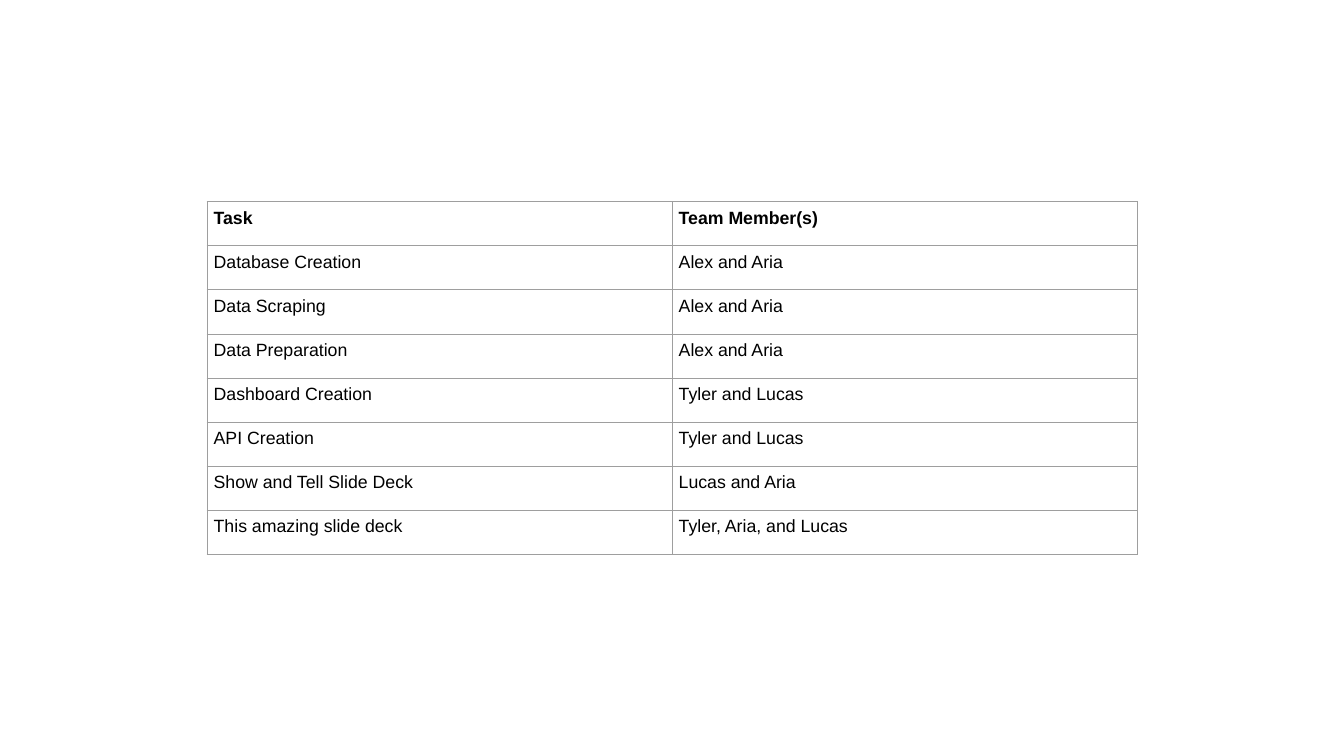
from lxml import etree
from pptx import Presentation
from pptx.dml.color import RGBColor
from pptx.oxml.ns import qn
from pptx.util import Pt

HEADINGS = ("Task", "Team Member(s)")
ASSIGNMENTS = [
    ("Database Creation", "Alex and Aria"),
    ("Data Scraping", "Alex and Aria"),
    ("Data Preparation", "Alex and Aria"),
    ("Dashboard Creation", "Tyler and Lucas"),
    ("API Creation", "Tyler and Lucas"),
    ("Show and Tell Slide Deck", "Lucas and Aria"),
    ("This amazing slide deck", "Tyler, Aria, and Lucas"),
]

SLIDE_WIDTH, SLIDE_HEIGHT = 1440, 810
TABLE_TOP = 216
COLUMN_WIDTH, ROW_HEIGHT = 498.25, 47.25
TEXT_FORMAT = {"name": "Arial", "size": Pt(19)}
MARGINS = dict.fromkeys(
    ("margin_left", "margin_right", "margin_top", "margin_bottom"), Pt(7.2))
TEXT_COLOR, BORDER_COLOR = "000000", "9E9E9E"
BORDER_WIDTH = 0.75


def rgb(hex_color):
    return RGBColor.from_string(hex_color)


def set_attributes(target, values):
    for name, value in values.items():
        setattr(target, name, value)


def add_borders(cell):
    properties = cell._tc.get_or_add_tcPr()
    # Border elements must come before the cell fill.
    for position, side in enumerate(("lnL", "lnR", "lnT", "lnB")):
        border = etree.Element(qn(f"a:{side}"), w=str(Pt(BORDER_WIDTH)))
        fill = etree.SubElement(border, qn("a:solidFill"))
        etree.SubElement(fill, qn("a:srgbClr"), val=BORDER_COLOR)
        properties.insert(position, border)


def fill_cell(cell, text, bold):
    cell.text = text
    set_attributes(cell, MARGINS)
    font = cell.text_frame.paragraphs[0].runs[0].font
    set_attributes(font, {**TEXT_FORMAT, "bold": bold})
    font.color.rgb = rgb(TEXT_COLOR)
    cell.fill.background()
    add_borders(cell)


def main():
    presentation = Presentation()
    presentation.slide_width = Pt(SLIDE_WIDTH)
    presentation.slide_height = Pt(SLIDE_HEIGHT)
    slide = presentation.slides.add_slide(presentation.slide_layouts[6])

    rows = [HEADINGS, *ASSIGNMENTS]
    width = COLUMN_WIDTH * len(HEADINGS)
    table = slide.shapes.add_table(
        len(rows), len(HEADINGS), Pt((SLIDE_WIDTH - width) / 2), Pt(TABLE_TOP),
        Pt(width), Pt(ROW_HEIGHT * len(rows))).table
    table.horz_banding = False

    for column in table.columns:
        column.width = Pt(COLUMN_WIDTH)
    for row_index, texts in enumerate(rows):
        table.rows[row_index].height = Pt(ROW_HEIGHT)
        for column_index, text in enumerate(texts):
            fill_cell(table.cell(row_index, column_index), text, row_index == 0)

    presentation.save("out.pptx")


if __name__ == "__main__":
    main()
